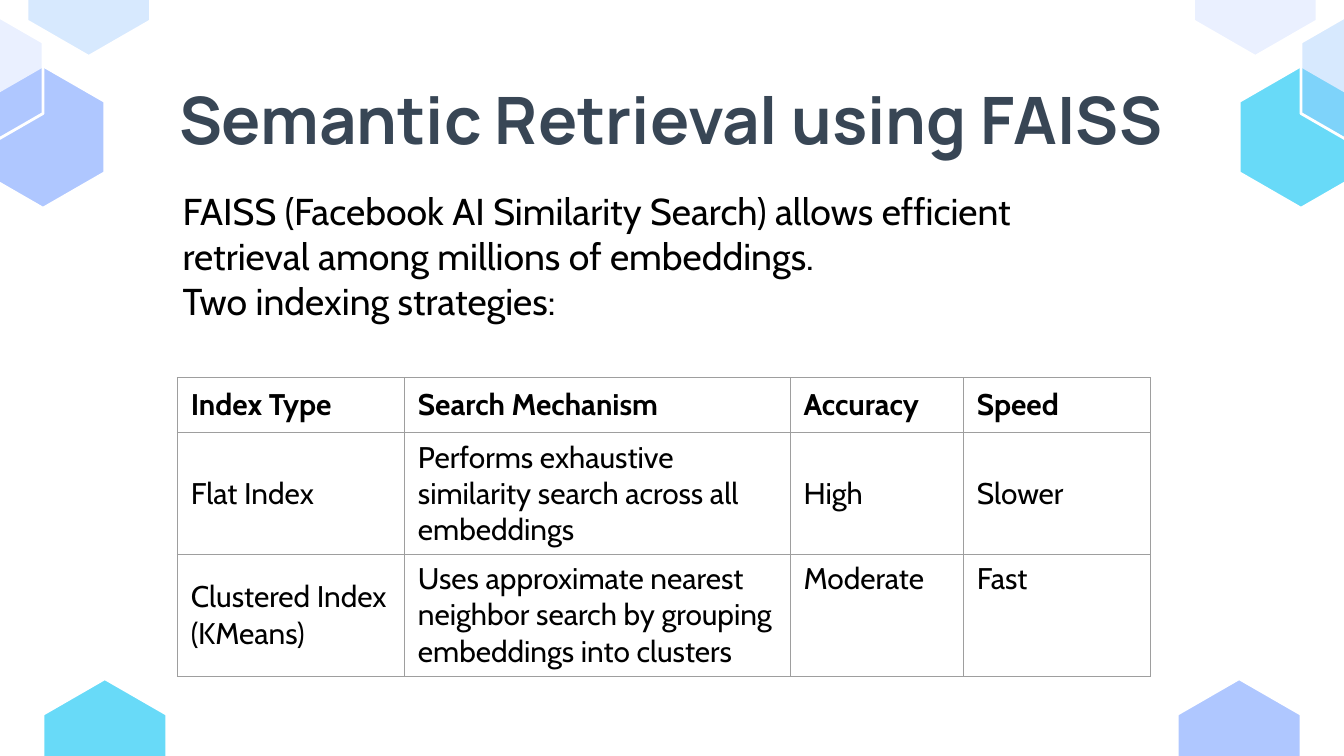
from lxml import etree
from pptx import Presentation
from pptx.dml.color import RGBColor
from pptx.enum.text import MSO_ANCHOR, MSO_AUTO_SIZE, PP_ALIGN
from pptx.oxml.ns import qn
from pptx.util import Inches, Pt

LEFT, CENTER = PP_ALIGN.LEFT, PP_ALIGN.CENTER
TOP, MIDDLE = MSO_ANCHOR.TOP, MSO_ANCHOR.MIDDLE
NO_AUTOFIT = MSO_AUTO_SIZE.NONE
TITLE_ONLY_LAYOUT = 5
SLIDE_WIDTH = Inches(10)
SLIDE_HEIGHT = SLIDE_WIDTH * 9 // 16

HEXAGON_WIDTH, HEXAGON_HEIGHT = 0.92, 1.06
HEXAGON_OUTLINE = [(0.5, 0), (0, 0.25), (0, 0.75), (0.5, 1), (1, 0.75), (1, 0.25)]
CYAN, PERIWINKLE, SKY = "68DAF8", "AFC7FF", "9FCBFD"
# left, top, colour, opacity in percent
HEXAGONS = [
    (0.32, 5.05, CYAN, 100),
    (8.76, 5.05, PERIWINKLE, 100),
    (-0.14, 0.49, PERIWINKLE, 100),
    (-0.6, 0.05, PERIWINKLE, 25),
    (0.2, -0.64, SKY, 41),
    (9.22, 0.49, CYAN, 100),
    (9.68, 0.05, SKY, 41),
    (8.88, -0.64, PERIWINKLE, 25),
]

INTRODUCTION = [
    "FAISS (Facebook AI Similarity Search) allows efficient retrieval among "
    "millions of embeddings.",
    "Two indexing strategies:",
]
INDEX_ROWS = [
    ["Index Type", "Search Mechanism", "Accuracy", "Speed"],
    ["Flat Index", "Performs exhaustive similarity search across all embeddings",
     "High", "Slower"],
    ["Clustered Index (KMeans)",
     "Uses approximate nearest neighbor search by grouping embeddings into clusters",
     "Moderate", "Fast"],
]
COLUMN_WIDTHS = [1.69, 2.87, 1.29, 1.39]
ROW_HEIGHTS = [0.41, 0.9, 0.9]
TOP_ALIGNED_CELLS = {(2, 2), (2, 3)}


def color(value):
    return RGBColor.from_string(value)


def write_text(frame, paragraphs, size=16, font="Cabin", fill="000000",
               bold=False, align=LEFT):
    for index, text in enumerate(paragraphs):
        paragraph = frame.paragraphs[0] if index == 0 else frame.add_paragraph()
        paragraph.alignment = align
        run = paragraph.add_run()
        run.text = text
        run.font.size = Pt(size)
        run.font.name = font
        run.font.bold = bold
        run.font.color.rgb = color(fill)


class SlideBuilder:
    border_color = "9E9E9E"
    border_width = 0.75

    def __init__(self, slide):
        self.slide = slide

    def background(self, fill):
        self.slide.background.fill.solid()
        self.slide.background.fill.fore_color.rgb = color(fill)

    def hexagon(self, left, top, fill, opacity):
        points = [(Inches(left + x * HEXAGON_WIDTH), Inches(top + y * HEXAGON_HEIGHT))
                  for x, y in HEXAGON_OUTLINE]
        builder = self.slide.shapes.build_freeform(*points[0])
        builder.add_line_segments(points[1:], close=True)
        shape = builder.convert_to_shape()
        shape.shadow.inherit = False
        shape.fill.solid()
        shape.fill.fore_color.rgb = color(fill)
        shape.line.color.rgb = color("FFFFFF")
        shape.line.width = Pt(1.5)
        if opacity < 100:
            fill_color = shape._element.spPr.find(qn("a:solidFill"))[0]
            etree.SubElement(fill_color, qn("a:alpha"), val=str(opacity * 1000))

    def title(self, text, left, top, width, height):
        title = self.slide.shapes.title
        title.left, title.top = Inches(left), Inches(top)
        title.width, title.height = Inches(width), Inches(height)
        frame = title.text_frame
        frame.auto_size = NO_AUTOFIT
        frame.word_wrap = True
        frame.vertical_anchor = TOP
        frame.margin_left = frame.margin_right = Inches(0.1)
        frame.margin_top = frame.margin_bottom = Inches(0.1)
        write_text(frame, [text], size=35, font="Manrope", fill="384655",
                   bold=True, align=CENTER)

    def text_box(self, paragraphs, left, top, width, height, **style):
        box = self.slide.shapes.add_textbox(Inches(left), Inches(top),
                                            Inches(width), Inches(height))
        box.text_frame.word_wrap = True
        write_text(box.text_frame, paragraphs, **style)

    def table(self, rows, left, top, column_widths, row_heights, top_aligned):
        table = self.slide.shapes.add_table(
            len(rows), len(column_widths), Inches(left), Inches(top),
            Inches(sum(column_widths)), Inches(sum(row_heights))).table
        table.first_row = table.horz_banding = False
        for column, width in zip(table.columns, column_widths):
            column.width = Inches(width)
        for row, height in zip(table.rows, row_heights):
            row.height = Inches(height)
        for row_index, texts in enumerate(rows):
            for column_index, text in enumerate(texts):
                cell = table.cell(row_index, column_index)
                position = (row_index, column_index)
                cell.vertical_anchor = TOP if position in top_aligned else MIDDLE
                self.cell_borders(cell)
                cell.fill.background()
                write_text(cell.text_frame, [text], bold=row_index == 0)

    def cell_borders(self, cell):
        properties = cell._tc.get_or_add_tcPr()
        for side in ("a:lnL", "a:lnR", "a:lnT", "a:lnB"):
            line = etree.SubElement(properties, qn(side), w=str(Pt(self.border_width)))
            fill = etree.SubElement(line, qn("a:solidFill"))
            etree.SubElement(fill, qn("a:srgbClr"), val=self.border_color)


def main():
    presentation = Presentation()
    presentation.slide_width = SLIDE_WIDTH
    presentation.slide_height = SLIDE_HEIGHT
    layout = presentation.slide_layouts[TITLE_ONLY_LAYOUT]
    builder = SlideBuilder(presentation.slides.add_slide(layout))
    builder.background("FFFFFF")
    for hexagon in HEXAGONS:
        builder.hexagon(*hexagon)
    builder.title("Semantic Retrieval using FAISS", 0.79, 0.49, 8.41, 0.63)
    builder.table(INDEX_ROWS, 1.32, 2.81, COLUMN_WIDTHS, ROW_HEIGHTS,
                  TOP_ALIGNED_CELLS)
    builder.text_box(INTRODUCTION, 1.26, 1.35, 7.35, 1.35, size=20)
    presentation.save("out.pptx")


if __name__ == "__main__":
    main()
